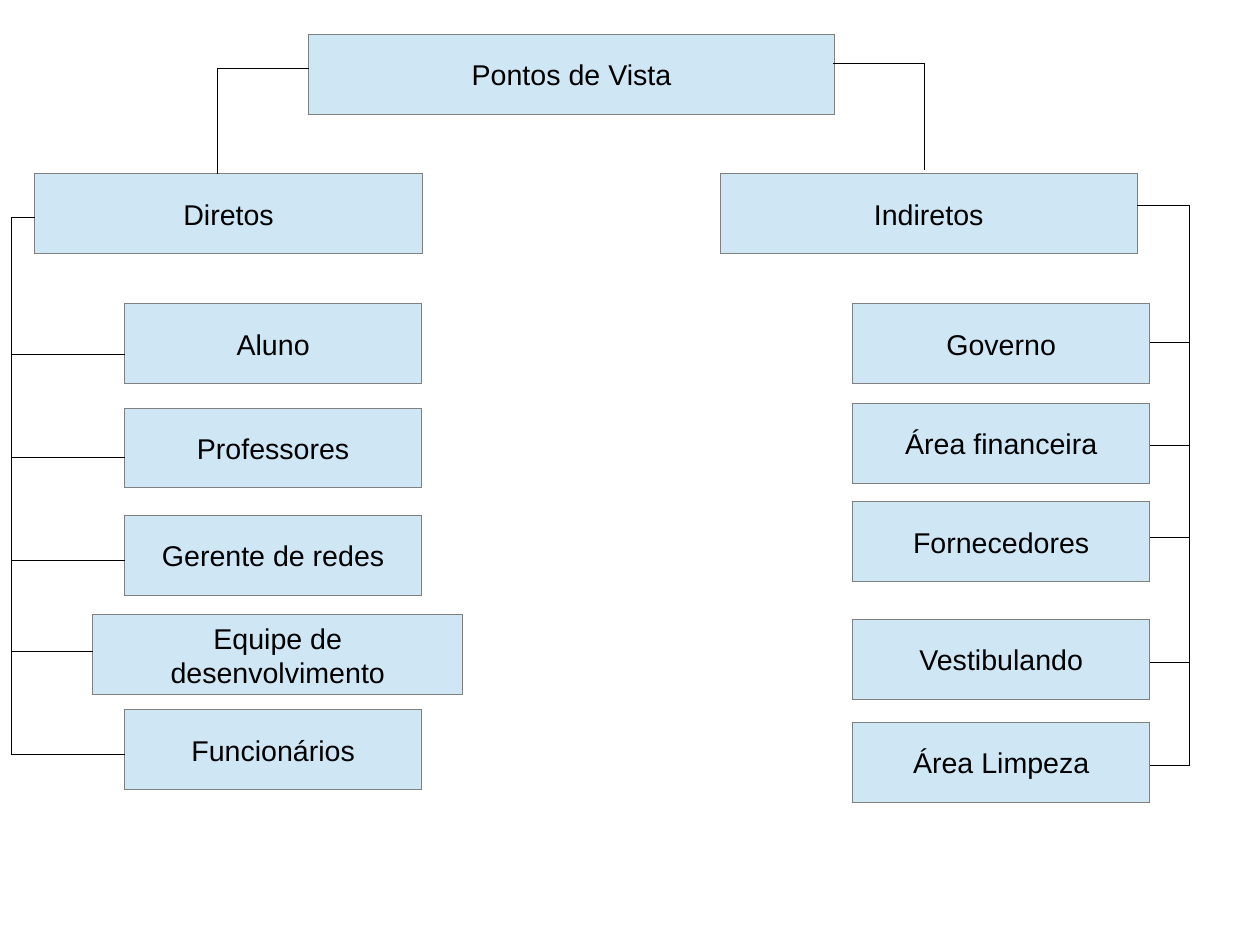
"""Build the viewpoint hierarchy slide."""
from lxml import etree
from pptx import Presentation
from pptx.dml.color import RGBColor
from pptx.enum.shapes import MSO_CONNECTOR, MSO_SHAPE
from pptx.enum.text import MSO_ANCHOR, MSO_AUTO_SIZE, PP_ALIGN
from pptx.oxml.ns import qn
from pptx.util import Inches, Pt

RECTANGLE = MSO_SHAPE.RECTANGLE
STRAIGHT = MSO_CONNECTOR.STRAIGHT
MIDDLE = MSO_ANCHOR.MIDDLE
CENTER = PP_ALIGN.CENTER
NO_AUTOFIT = MSO_AUTO_SIZE.NONE

CM_PER_INCH = 2.54
SLIDE_SIZE_CM = (28, 21)
BOX_HEIGHT = 0.7
ITEM_WIDTH = 2.6
TITLE = ("Pontos de Vista", 2.7, 0.3, 4.6)
GROUPS = [
    {
        "head": ("Diretos", 0.3, 1.52, 3.4),
        "branch": [(1.9, 1.52), (1.9, 0.6), (2.7, 0.6)],
        "trunk_x": 0.1, "trunk_top": 1.9, "head_edge": 0.3,
        "items": [
            ("Aluno", 1.09, 2.66, ITEM_WIDTH),
            ("Professores", 1.09, 3.57, ITEM_WIDTH),
            ("Gerente de redes", 1.09, 4.51, ITEM_WIDTH),
            ("Equipe de desenvolvimento", 0.81, 5.38, 3.24),
            ("Funcionários", 1.09, 6.21, ITEM_WIDTH),
        ],
        "links": [(1.09, 3.1), (1.09, 4), (1.09, 4.9), (0.81, 5.7), (1.09, 6.6)],
    },
    {
        "head": ("Indiretos", 6.3, 1.52, 3.65),
        "branch": [(8.09, 1.48), (8.09, 0.56), (7.29, 0.56)],
        "trunk_x": 10.41, "trunk_top": 1.8, "head_edge": 9.95,
        "items": [
            ("Governo", 7.46, 2.66, ITEM_WIDTH),
            ("Área financeira", 7.46, 3.53, ITEM_WIDTH),
            ("Fornecedores", 7.46, 4.39, ITEM_WIDTH),
            ("Vestibulando", 7.46, 5.42, ITEM_WIDTH),
            ("Área Limpeza", 7.46, 6.32, ITEM_WIDTH),
        ],
        "links": [(10.07, y) for y in (3, 3.9, 4.7, 5.8, 6.7)],
    },
]


def color(value):
    return RGBColor.from_string(value)


def write_text(shape, text, size=18, font="Arial", fill="000000"):
    frame = shape.text_frame
    frame.text = text
    frame.word_wrap = True
    frame.auto_size = NO_AUTOFIT
    frame.vertical_anchor = MIDDLE
    frame.margin_left = frame.margin_right = Inches(0.1)
    frame.margin_top = frame.margin_bottom = Inches(0.05)
    paragraph = frame.paragraphs[0]
    paragraph.alignment = CENTER
    run = paragraph.runs[0]
    run.font.size = Pt(size)
    run.font.name = font
    run.font.color.rgb = color(fill)


def format_line(shape, line_color):
    shape.line.color.rgb = color(line_color)
    shape.line.width = Pt(0)


def remove_theme_style(shape):
    shape._element.remove(shape._element.find(qn("p:style")))


def format_box(shape, text):
    shape.fill.solid()
    shape.fill.fore_color.rgb = color("CFE7F5")
    format_line(shape, "808080")
    write_text(shape, text)


def add_box(slide, text, left, top, width):
    shape = slide.shapes.add_shape(
        RECTANGLE, Inches(left), Inches(top), Inches(width), Inches(BOX_HEIGHT))
    shape.shadow.inherit = False
    remove_theme_style(shape)
    format_box(shape, text)


def place_title(slide, text, left, top, width):
    title = slide.shapes.title
    title.left, title.top = Inches(left), Inches(top)
    title.width, title.height = Inches(width), Inches(BOX_HEIGHT)
    format_box(title, text)


def add_line(slide, start, end):
    points = [Inches(value) for value in (*start, *end)]
    connector = slide.shapes.add_connector(STRAIGHT, *points)
    remove_theme_style(connector)
    format_line(connector, "000000")
    etree.SubElement(connector._element.spPr, qn("a:effectLst"))


def add_group(slide, group):
    for box in [group["head"], *group["items"]]:
        add_box(slide, *box)
    corner_points = group["branch"]
    for start, end in zip(corner_points, corner_points[1:]):
        add_line(slide, start, end)
    trunk_x, trunk_top = group["trunk_x"], group["trunk_top"]
    links = [(group["head_edge"], trunk_top), *group["links"]]
    add_line(slide, (trunk_x, trunk_top), (trunk_x, links[-1][1]))
    for edge, y in links:
        add_line(slide, (trunk_x, y), (edge, y))


def main():
    presentation = Presentation()
    width, height = (Inches(side / CM_PER_INCH) for side in SLIDE_SIZE_CM)
    presentation.slide_width, presentation.slide_height = width, height
    slide = presentation.slides.add_slide(presentation.slide_layouts[5])
    place_title(slide, *TITLE)
    for group in GROUPS:
        add_group(slide, group)
    presentation.save("out.pptx")


if __name__ == "__main__":
    main()
